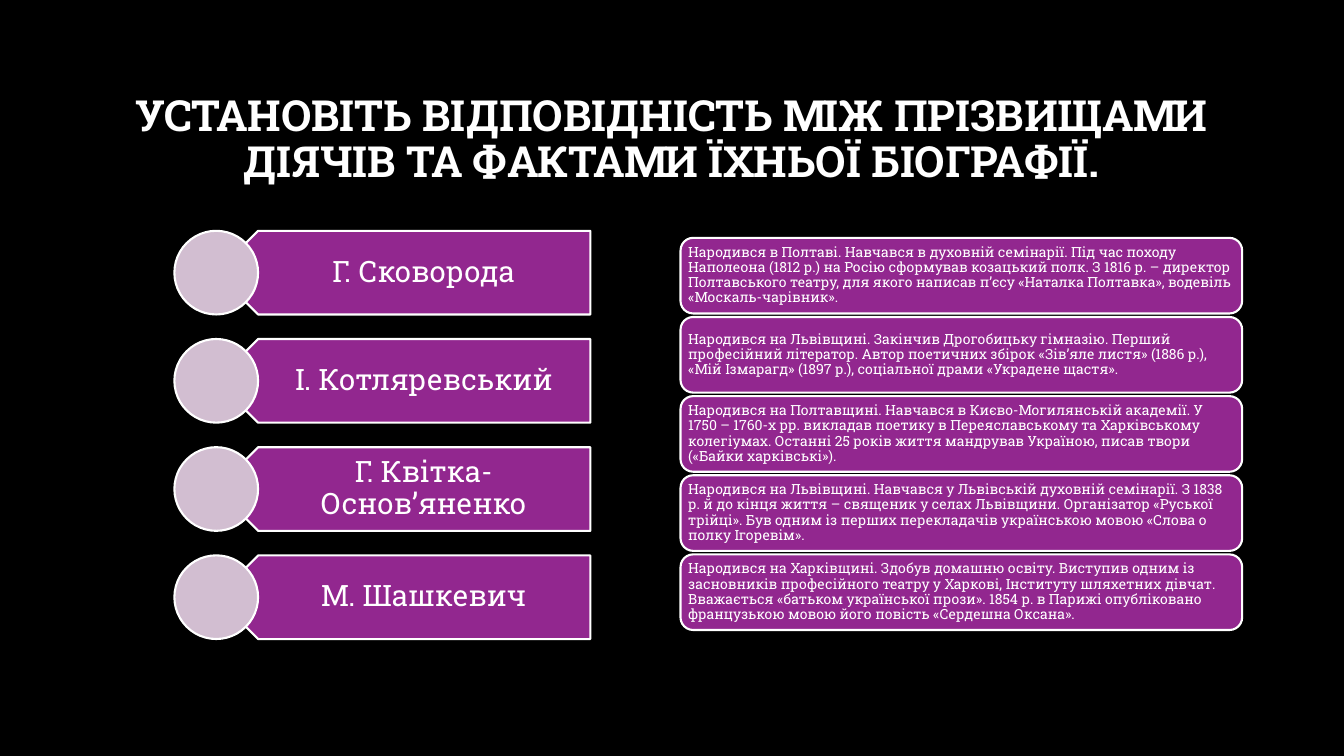
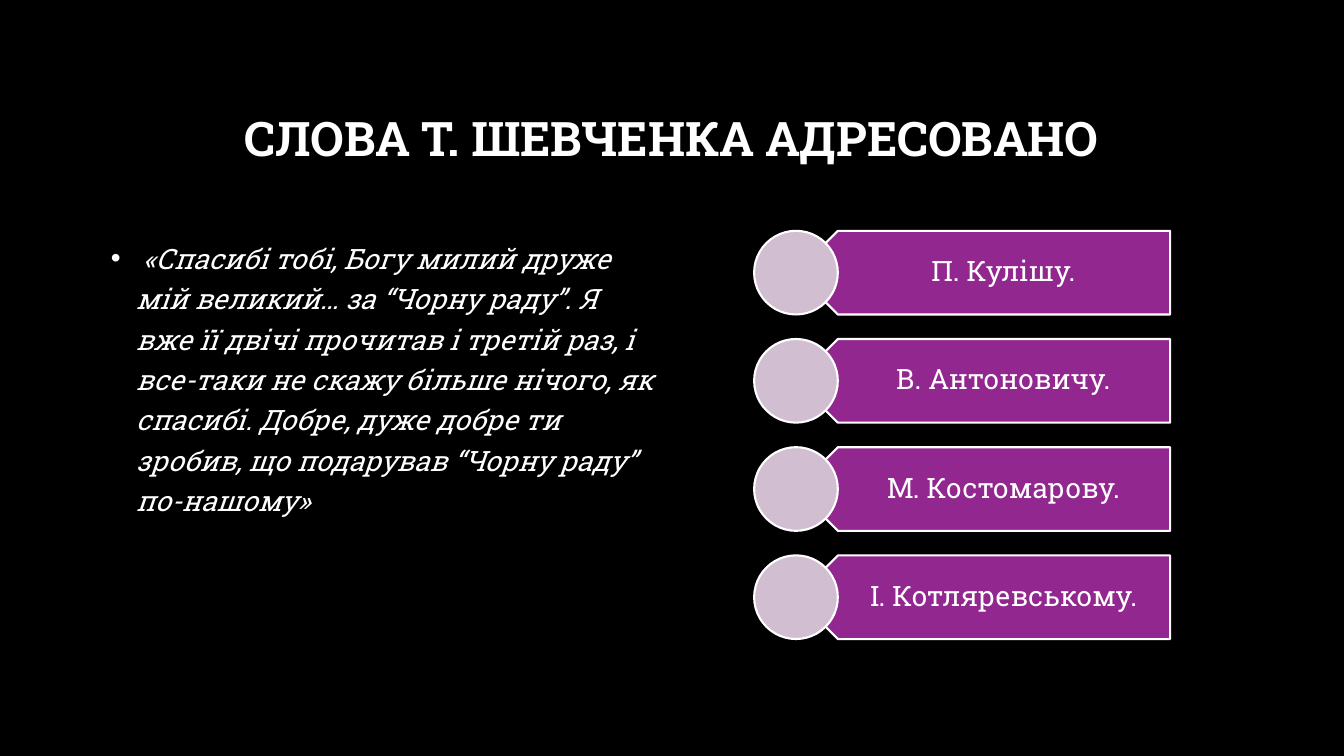
from dataclasses import dataclass

from lxml import etree
from pptx import Presentation
from pptx.dml.color import RGBColor
from pptx.enum.shapes import MSO_SHAPE
from pptx.enum.text import MSO_ANCHOR, PP_ALIGN
from pptx.oxml.ns import qn
from pptx.util import Inches, Pt

PENTAGON = MSO_SHAPE.PENTAGON
OVAL = MSO_SHAPE.OVAL
ROUNDED = MSO_SHAPE.ROUNDED_RECTANGLE
MIDDLE, TOP = MSO_ANCHOR.MIDDLE, MSO_ANCHOR.TOP
CENTER, LEFT = PP_ALIGN.CENTER, PP_ALIGN.LEFT

FIGURES = [
    "Г. Сковорода",
    "І. Котляревський",
    "Г. Квітка-Основ’яненко",
    "М. Шашкевич",
]
FACTS = [
    "Народився в Полтаві. Навчався в духовній семінарії. Під час походу "
    "Наполеона (1812 р.) на Росію сформував козацький полк. З 1816 р. – директор "
    "Полтавського театру, для якого написав п’єсу «Наталка Полтавка», водевіль "
    "«Москаль-чарівник».",
    "Народився на Львівщині. Закінчив Дрогобицьку гімназію. Перший "
    "професійний літератор. Автор поетичних збірок «Зів’яле листя» (1886 р.), "
    "«Мій Ізмарагд» (1897 р.), соціальної драми «Украдене щастя».",
    "Народився на Полтавщині. Навчався в Києво-Могилянській академії. У "
    "1750 – 1760-х рр. викладав поетику в Переяславському та Харківському "
    "колегіумах. Останні 25 років життя мандрував Україною, писав твори "
    "(«Байки харківські»).",
    "Народився на Львівщині. Навчався у Львівській духовній семінарії. З 1838 "
    "р. й до кінця життя – священик у селах Львівщини. Організатор «Руської "
    "трійці». Був одним із перших перекладачів українською мовою «Слова о "
    "полку Ігоревім».",
    "Народився на Харківщині. Здобув домашню освіту. Виступив одним із "
    "засновників професійного театру у Харкові, Інституту шляхетних дівчат. "
    "Вважається «батьком української прози». 1854 р. в Парижі опубліковано "
    "французькою мовою його повість «Сердешна Оксана».",
]
QUOTE = (
    " «Спасибі тобі, Богу милий друже мій великий… за “Чорну раду”. Я вже її "
    "двічі прочитав і третій раз, і все-таки не скажу більше нічого, як спасибі. "
    "Добре, дуже добре ти зробив, що подарував “Чорну раду” по-нашому»"
)
ADDRESSEES = ["П. Кулішу.", "В. Антоновичу.", "М. Костомарову.", "І. Котляревському."]


@dataclass(frozen=True)
class Theme:
    font: str = "Roboto Slab"
    background: RGBColor = RGBColor(0x00, 0x00, 0x00)
    text: RGBColor = RGBColor(0xFF, 0xFF, 0xFF)
    panel: RGBColor = RGBColor(0x92, 0x27, 0x8F)
    disc: RGBColor = RGBColor(0xD2, 0xBE, 0xD1)
    outline: float = 1.5
    long_title_size: float = 30.6
    title_size: float = 34
    name_size: float = 21
    body_size: float = 20
    fact_size: float = 10


class Deck:
    def __init__(self, theme):
        self.theme = theme
        self.presentation = Presentation()
        self.presentation.slide_width = Inches(13.33)
        self.presentation.slide_height = Inches(7.5)
        self.slide = None

    def add_slide(self, title, title_size):
        layout = self.presentation.slide_layouts[6]
        self.slide = self.presentation.slides.add_slide(layout)
        fill = self.slide.background.fill
        fill.solid()
        fill.fore_color.rgb = self.theme.background
        frame = self.text_box(1, 0.67, 11.32, 1.45)
        self.set_text(frame, title, title_size, bold=True)

    def text_box(self, left, top, width, height):
        box = self.slide.shapes.add_textbox(
            Inches(left), Inches(top), Inches(width), Inches(height))
        return box.text_frame

    def panel(self, kind, left, top, width, height, color):
        shape = self.slide.shapes.add_shape(
            kind, Inches(left), Inches(top), Inches(width), Inches(height))
        shape.shadow.inherit = False
        shape.fill.solid()
        shape.fill.fore_color.rgb = color
        shape.line.color.rgb = self.theme.text
        shape.line.width = Pt(self.theme.outline)
        return shape

    def set_text(self, frame, text, size, align=CENTER, anchor=MIDDLE, spacing=0.9,
                 insets=(0.1, 0.05, 0.1, 0.05), bullet=False, bold=False, italic=False):
        frame.word_wrap = True
        frame.vertical_anchor = anchor
        (frame.margin_left, frame.margin_top,
         frame.margin_right, frame.margin_bottom) = map(Inches, insets)
        paragraph = frame.paragraphs[0]
        paragraph.text = text
        paragraph.alignment = align
        paragraph.line_spacing = spacing
        if bullet:
            self.add_bullet(paragraph)
        font = paragraph.font
        font.name = self.theme.font
        font.size = Pt(size)
        font.color.rgb = self.theme.text
        font.bold = bold
        font.italic = italic

    def add_bullet(self, paragraph, indent=0.25):
        properties = paragraph._p.get_or_add_pPr()
        properties.set("marL", str(Inches(indent)))
        properties.set("indent", str(-Inches(indent)))
        font = etree.SubElement(properties, qn("a:buFont"))
        font.set("typeface", "Arial")
        etree.SubElement(properties, qn("a:buChar")).set("char", "•")

    def name_list(self, names, left, size, top=2.29, bottom=6.34, height=0.83):
        radius = height / 2
        pitch = (bottom - top - height) / (len(names) - 1)
        for index, name in enumerate(names):
            row = top + index * pitch
            arrow = self.panel(PENTAGON, left + radius, row, 3.71, height,
                               self.theme.panel)
            arrow.rotation = 180
            frame = self.text_box(left + 1.5 * radius, row, 3.5, height)
            self.set_text(frame, name, size, insets=(0.36, 0.09, 0.16, 0.09))
            self.panel(OVAL, left, row, height, height, self.theme.disc)

    def fact_list(self, facts, left=6.75, top=2.36, bottom=6.25, height=0.75):
        pitch = (bottom - top - height) / (len(facts) - 1)
        for index, fact in enumerate(facts):
            card = self.panel(ROUNDED, left, top + index * pitch, 5.57, height,
                              self.theme.panel)
            self.set_text(card.text_frame, fact, self.theme.fact_size, align=LEFT,
                          insets=(0.04,) * 4)

    def quote(self, text):
        frame = self.text_box(1, 2.28, 5.58, 4.05)
        self.set_text(frame, text, self.theme.body_size, align=LEFT, anchor=TOP,
                      spacing=1.2, bullet=True, italic=True)


def main():
    theme = Theme()
    deck = Deck(theme)

    deck.add_slide(
        "УСТАНОВІТЬ ВІДПОВІДНІСТЬ МІЖ ПРІЗВИЩАМИ ДІЯЧІВ ТА ФАКТАМИ ЇХНЬОЇ БІОГРАФІЇ.",
        theme.long_title_size)
    deck.name_list(FIGURES, 1.73, theme.name_size)
    deck.fact_list(FACTS)

    deck.add_slide("СЛОВА Т. ШЕВЧЕНКА АДРЕСОВАНО", theme.title_size)
    deck.quote(QUOTE)
    deck.name_list(ADDRESSEES, 7.48, theme.body_size)

    deck.presentation.save("out.pptx")


if __name__ == "__main__":
    main()
